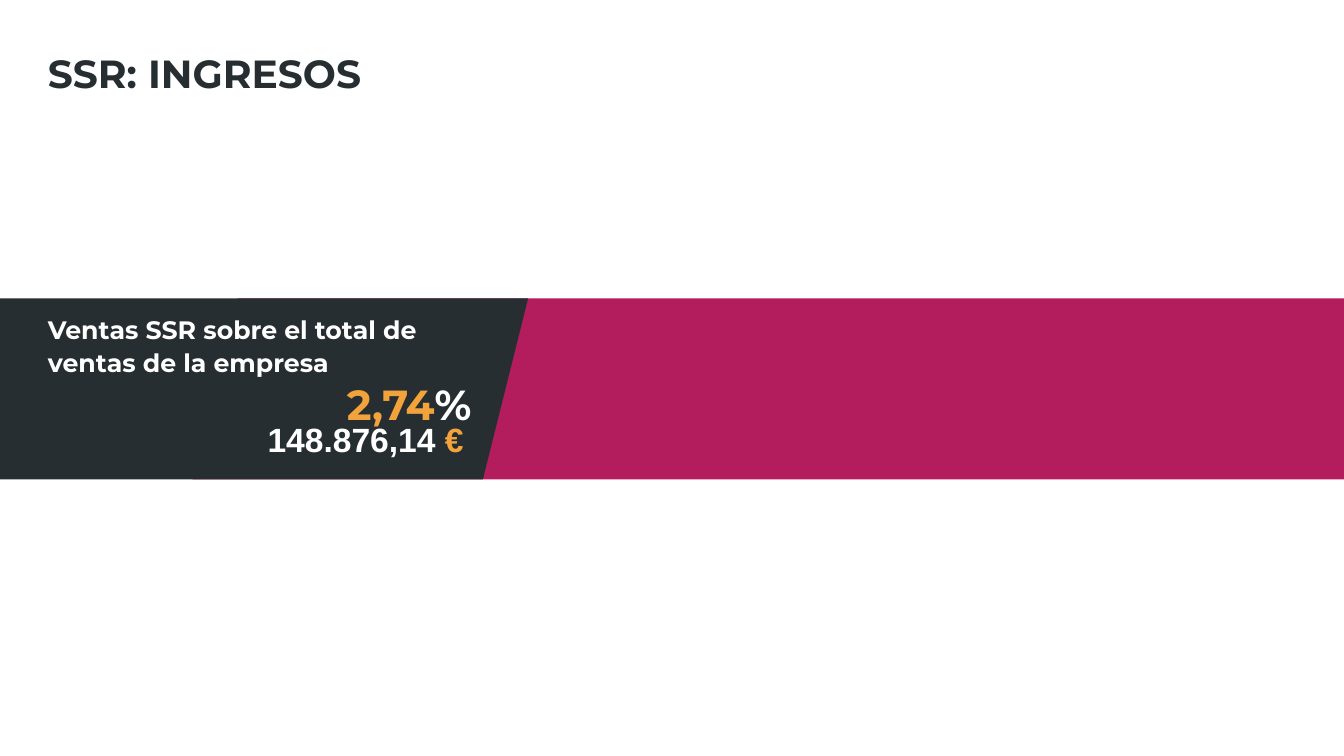
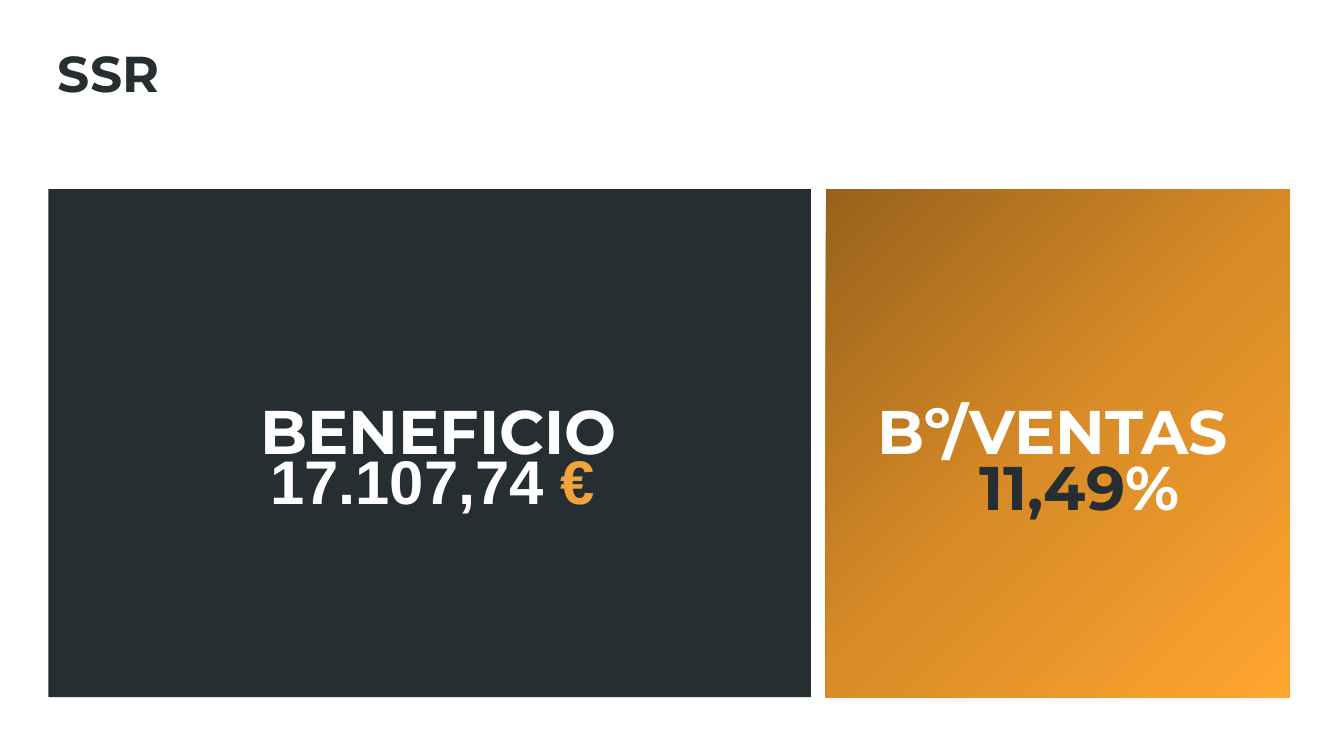
import copy

import pptx
import pptx.dml.color
import pptx.enum.shapes
import pptx.enum.text
import pptx.oxml.ns
import pptx.util
from pptx.util import Inches

COLORS = {
    "dark": "262E31",
    "pink": "B31D5D",
    "orange": "F3A33C",
    "white": "FFFFFF",
}
GRADIENT = [(0, "98621B"), (0.5, "D88B27"), (1, "FFA530")]
HEADING_FONT = "Montserrat"
AMOUNT_FONT = "Arial"
SHAPES = pptx.enum.shapes.MSO_SHAPE
ALIGN = pptx.enum.text.PP_ALIGN


def add_block(slide, kind, left, top, width, height, color=None):
    """Add a borderless shape, with a solid fill if a colour is given."""
    shape = slide.shapes.add_shape(
        kind, Inches(left), Inches(top), Inches(width), Inches(height))
    shape.shadow.inherit = False
    shape.line.fill.background()
    if color:
        shape.fill.solid()
        shape.fill.fore_color.rgb = pptx.dml.color.RGBColor.from_string(COLORS[color])
    return shape


def add_text(slide, box, parts, size, font=HEADING_FONT, align=ALIGN.LEFT,
             spacing=1.1, wrap=True):
    """Add one bold paragraph made of (text, colour) parts."""
    frame = slide.shapes.add_textbox(*[Inches(length) for length in box]).text_frame
    frame.margin_left = frame.margin_top = frame.margin_right = frame.margin_bottom = 0
    frame.vertical_anchor = pptx.enum.text.MSO_ANCHOR.MIDDLE
    frame.word_wrap = wrap
    if not wrap:
        frame.auto_size = pptx.enum.text.MSO_AUTO_SIZE.SHAPE_TO_FIT_TEXT
    paragraph = frame.paragraphs[0]
    paragraph.alignment = align
    paragraph.line_spacing = spacing
    paragraph.font.name = font
    paragraph.font.size = pptx.util.Pt(size)
    paragraph.font.bold = True
    for text, color in parts:
        run = paragraph.add_run()
        run.text = text
        run.font.color.rgb = pptx.dml.color.RGBColor.from_string(COLORS[color])


presentation = pptx.Presentation()
presentation.slide_width = Inches(26.67)
presentation.slide_height = Inches(15)
blank = presentation.slide_layouts[6]

# Slide 1: income band
slide = presentation.slides.add_slide(blank)
band_top, band_height = 5.92, 3.59
add_block(slide, SHAPES.PARALLELOGRAM, 3.82, band_top, 23.84, band_height, "pink")
add_block(slide, SHAPES.PARALLELOGRAM, -1, band_top, 11.48, band_height, "dark")
add_text(slide, (0.95, 0.97, 6.25, 0.94), [("SSR: INGRESOS", "dark")], 56,
         spacing=1.0, wrap=False)
add_text(slide, (0.95, band_top, 7.64, 1.83),
         [("Ventas SSR sobre el total de ventas de la empresa", "white")], 36)
add_text(slide, (6.05, 7.6, 4.14, 0.74), [("2,74", "orange"), ("%", "white")], 60,
         align=ALIGN.CENTER)
add_text(slide, (5, 8.33, 4.51, 0.77), [("148.876,14 ", "white"), ("€", "orange")], 48,
         AMOUNT_FONT, ALIGN.CENTER, 1.0)

# Slide 2: profit panels
slide = presentation.slides.add_slide(blank)
panel_top, panel_height = 3.75, 10.08
add_text(slide, (1.15, 0.83, 2.02, 1.21), [("SSR", "dark")], 72,
         spacing=1.0, wrap=False)
add_block(slide, SHAPES.RECTANGLE, 0.96, panel_top, 15.13, panel_height, "dark")
ratio_panel = add_block(slide, SHAPES.RECTANGLE, 16.39, panel_top, 9.2, panel_height)

# Three-stop gradient, dark at the top left
fill = ratio_panel.fill
fill.gradient()
fill.gradient_angle = 315
stop_list = ratio_panel._element.spPr.find(".//" + pptx.oxml.ns.qn("a:gsLst"))
stop_list.append(copy.deepcopy(stop_list[-1]))
for stop, (position, color) in zip(fill.gradient_stops, GRADIENT):
    stop.position = position
    stop.color.rgb = pptx.dml.color.RGBColor.from_string(color)

# Panel headings and figures
for left, width, heading in [(5.17, 7.28, "BENEFICIO"), (17.42, 7.49, "Bº/VENTAS")]:
    add_text(slide, (left, 8, width, 0.91), [(heading, "white")], 88)
add_text(slide, (4.25, 9.11, 8.67, 0.83), [("17.107,74 ", "white"), ("€", "orange")], 88,
         AMOUNT_FONT, ALIGN.CENTER, 1.0)
add_text(slide, (19.01, 8.95, 4.82, 1.24), [("11,49", "dark"), ("%", "white")], 88,
         align=ALIGN.CENTER)

presentation.save("out.pptx")
